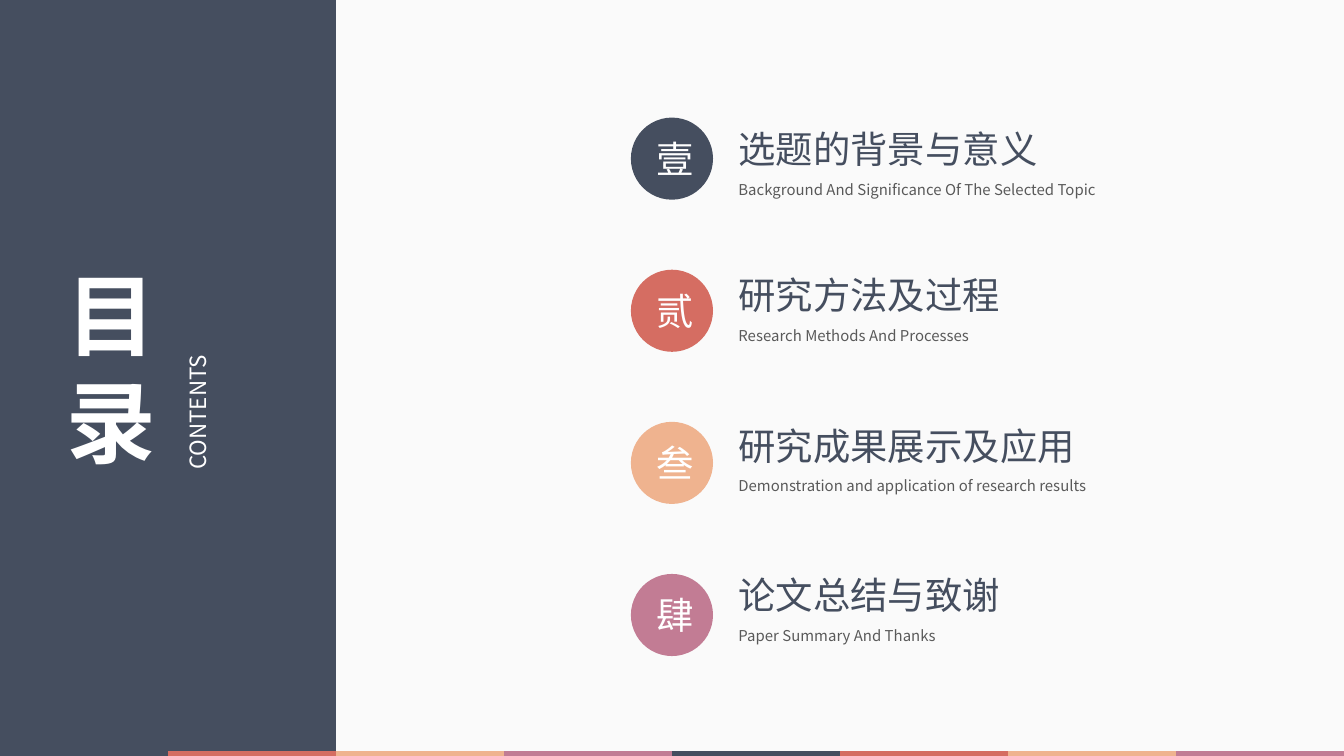
from pptx import Presentation
from pptx.dml.color import RGBColor
from pptx.enum import shapes, text
from pptx.oxml import ns
from pptx.util import Pt
from lxml import etree

NAVY = RGBColor(0x45, 0x4E, 0x5F)
CORAL = RGBColor(0xD5, 0x6D, 0x62)
PEACH = RGBColor(0xEF, 0xB3, 0x8F)
MAUVE = RGBColor(0xC2, 0x7C, 0x94)
GREY = RGBColor(0x59, 0x59, 0x59)
WHITE = RGBColor(0xFF, 0xFF, 0xFF)
PAPER = RGBColor(0xFA, 0xFA, 0xFA)
ACCENTS = [NAVY, CORAL, PEACH, MAUVE]
FONT = "Noto Sans CJK SC"
ALIGN = text.PP_ALIGN
ANCHOR = text.MSO_ANCHOR

# number, heading, subtitle, top of heading, width of heading, width of subtitle
CHAPTERS = [
    ("壹", "选题的背景与意义", "Background And Significance Of The Selected Topic", 64, 176.5, 218),
    ("贰", "研究方法及过程", "Research Methods And Processes", 142.5, 156, 146),
    ("叁", "研究成果展示及应用", "Demonstration and application of research results", 223, 196.5, 209),
    ("肆", "论文总结与致谢", "Paper Summary And Thanks", 303, 156, 123),
]


def write(shape, content, size, color, align=ALIGN.LEFT, anchor=ANCHOR.TOP,
          bold=False, wrap=False, grow=True, line_spacing=None):
    """Fill a shape with text, one paragraph per line."""
    frame = shape.text_frame
    frame.text = content
    frame.word_wrap = wrap
    frame.vertical_anchor = anchor
    frame.auto_size = (text.MSO_AUTO_SIZE.SHAPE_TO_FIT_TEXT if grow
                       else text.MSO_AUTO_SIZE.NONE)
    for para in frame.paragraphs:
        para.alignment = align
        if line_spacing:
            para.line_spacing = line_spacing
        for span in para.runs:
            span.font.size = Pt(size)
            span.font.bold = bold
            span.font.color.rgb = color
            span.font.name = FONT
            # East Asian glyphs take their font from a separate element
            east = etree.SubElement(span.font._element, ns.qn("a:ea"))
            east.set("typeface", FONT)


def add_label(page, box, content, size, color, **layout):
    label = page.shapes.add_textbox(*map(Pt, box))
    write(label, content, size, color, **layout)
    return label


def add_block(page, kind, box, color):
    block = page.shapes.add_shape(kind, *map(Pt, box))
    block.shadow.inherit = False
    block.fill.solid()
    block.fill.fore_color.rgb = color
    block.line.fill.background()
    return block


def add_side_panel(page, box):
    left, top, width, height = box
    panel = add_block(page, shapes.MSO_SHAPE.RECTANGLE, box, NAVY)

    # Title, stacked in two lines above the panel
    title = page.shapes.title
    panel.element.addnext(title.element)
    title.left, title.top = Pt(left + 28), Pt(top + 135.5)
    title.width, title.height = Pt(63.5), Pt(124)
    write(title, "目\n录", 48, WHITE, align=ALIGN.CENTER, bold=True)

    # Sideways caption
    caption = add_label(page, (left + 51, top + 193, 110, 21.5), "CONTENTS",
                        12, WHITE, align=ALIGN.JUSTIFY, wrap=True)
    caption.rotation = 270


def add_colour_strip(page, box, count=8):
    left, top, width, height = box
    step = width / count
    for index in range(count):
        add_block(page, shapes.MSO_SHAPE.RECTANGLE,
                  (left + index * step, top, step, height),
                  ACCENTS[index % len(ACCENTS)])


def add_chapters(page, box):
    left, top, width, height = box
    diameter = 44
    pitch = (height - diameter) / (len(CHAPTERS) - 1)
    text_left = left + 50.5
    for index, chapter in enumerate(CHAPTERS):
        number, heading, subtitle, text_top, heading_width, subtitle_width = chapter
        add_label(page, (text_left, text_top, heading_width, 31.5), heading, 20, NAVY)
        add_label(page, (text_left, text_top + 29, subtitle_width, 17), subtitle, 8, GREY)
        badge = add_block(page, shapes.MSO_SHAPE.OVAL,
                          (left, top + index * pitch, diameter, diameter),
                          ACCENTS[index])
        write(badge, number, 20, WHITE, align=ALIGN.CENTER,
              anchor=ANCHOR.MIDDLE, wrap=True, grow=False)


def main():
    deck = Presentation()
    deck.slide_width, deck.slide_height = Pt(720), Pt(405)
    page = deck.slides.add_slide(deck.slide_layouts[5])
    page.background.fill.solid()
    page.background.fill.fore_color.rgb = PAPER

    add_side_panel(page, (0, 0, 180, 402.5))
    add_colour_strip(page, (0, 402.5, 720, 5.5))
    add_chapters(page, (338, 63, 270, 288.5))
    deck.save("out.pptx")


if __name__ == "__main__":
    main()
